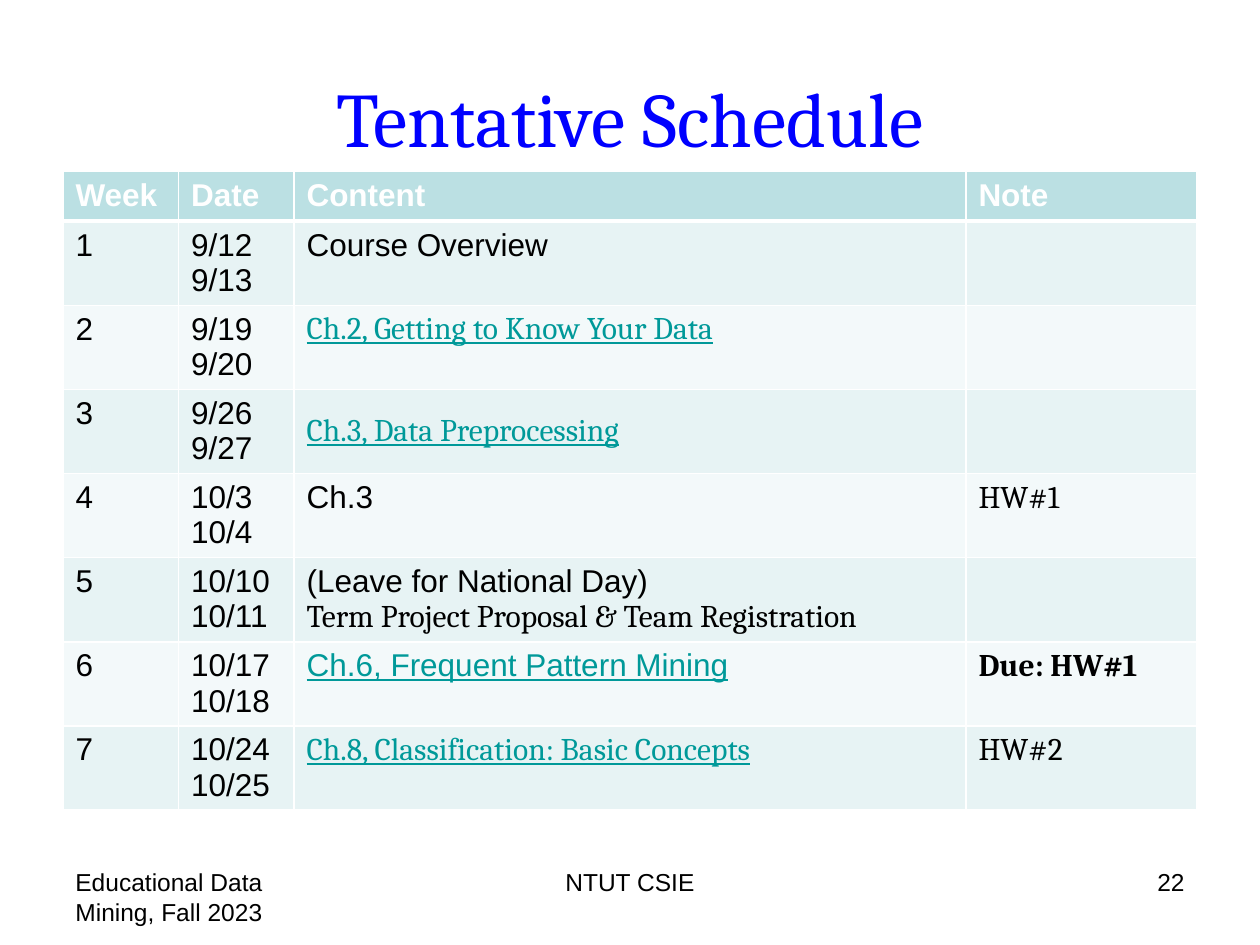
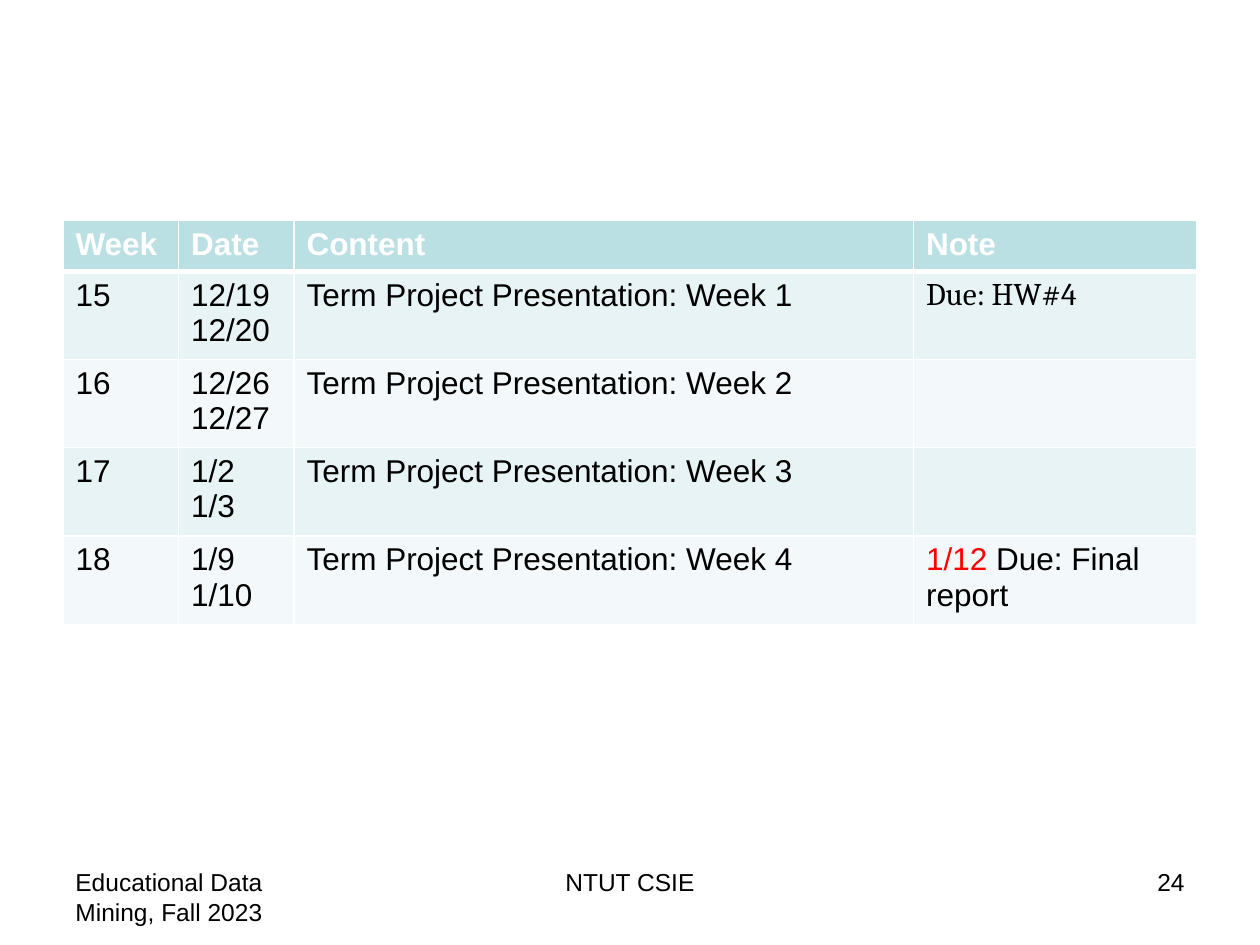
from lxml.etree import SubElement as Sub, Element
from pptx import Presentation
from pptx.dml.color import RGBColor as RGB
from pptx.enum.text import MSO_ANCHOR as Anchor, PP_ALIGN as Align
from pptx.oxml.ns import qn
from pptx.util import Pt

BLUE = RGB(0x00, 0x00, 0xFF)
TEAL = RGB(0x00, 0x99, 0x99)
RED = RGB(0xFF, 0x00, 0x00)
BLACK = RGB(0x00, 0x00, 0x00)
WHITE = RGB(0xFF, 0xFF, 0xFF)
HEAD = RGB(0xBB, 0xE0, 0xE3)
BANDS = [RGB(0xF3, 0xF9, 0xFA), RGB(0xE7, 0xF3, 0xF4)]
SANS, SERIF = "Arial", "Cambria"

# Cell texts that leave the plain style
LINKS = {"Ch.2, Getting to Know Your Data", "Ch.3, Data Preprocessing",
         "Ch.6, Frequent Pattern Mining",
         "Ch.8, Classification: Basic Concepts"}
SERIFS = {"HW#1", "HW#2", "Due: HW#1", "Due: HW#4",
          "Term Project Proposal & Team Registration"}
SERIFS |= LINKS - {"Ch.6, Frequent Pattern Mining"}
BOLDS = {"Due: HW#1"}

TITLES = ["Week", "Date", "Content", "Note"]
FALL = [
    ["1", "9/12\n9/13", "Course Overview", ""],
    ["2", "9/19\n9/20", "Ch.2, Getting to Know Your Data", ""],
    ["3", "9/26\n9/27", "Ch.3, Data Preprocessing", ""],
    ["4", "10/3\n10/4", "Ch.3", "HW#1"],
    ["5", "10/10\n10/11", "(Leave for National Day)\n"
     "Term Project Proposal & Team Registration", ""],
    ["6", "10/17\n10/18", "Ch.6, Frequent Pattern Mining", "Due: HW#1"],
    ["7", "10/24\n10/25", "Ch.8, Classification: Basic Concepts", "HW#2"],
]
FINAL = [
    ["15", "12/19\n12/20", "Term Project Presentation: Week 1", "Due: HW#4"],
    ["16", "12/26\n12/27", "Term Project Presentation: Week 2", ""],
    ["17", "1/2\n1/3", "Term Project Presentation: Week 3", ""],
    ["18", "1/9\n1/10", "Term Project Presentation: Week 4",
     "1/12 Due: Final report"],
]

# Layout number, page, table top, column widths, row heights, rows
PAGES = [
    (5, "22", 98, [66, 66, 384, 132], (28.4, 48.1), FALL),
    (6, "24", 126, [66, 66, 354, 162], (29, 50.3), FINAL),
]


def style(run, size, color=BLACK, face=SANS, bold=False):
    font = run.font
    font.size, font.name, font.bold = Pt(size), face, bold
    font.color.rgb = color


def edge(cell, sides):
    """Draw white cell borders; sides maps a tag to a width in points."""
    props = cell._tc.get_or_add_tcPr()
    for spot, (tag, width) in enumerate(sides.items()):
        line = Element(qn("a:" + tag), w=str(Pt(width)))
        fill = Sub(line, qn("a:solidFill"))
        Sub(fill, qn("a:srgbClr"), val=str(WHITE))
        props.insert(spot, line)


deck = Presentation()
deck.slide_width, deck.slide_height = Pt(720), Pt(540)

for layout, page, top, widths, (first, rest), rows in PAGES:
    slide = deck.slides.add_slide(deck.slide_layouts[layout])

    # Title
    title = slide.shapes.title
    if title is not None:
        title.left, title.top = Pt(36), Pt(21.6)
        title.width, title.height = Pt(648), Pt(90)
        frame = title.text_frame
        frame.text = "Tentative Schedule"
        frame.vertical_anchor = Anchor.MIDDLE
        frame.paragraphs[0].alignment = Align.CENTER
        style(frame.paragraphs[0].runs[0], 44, BLUE, SERIF)

    # Schedule table
    data = [TITLES] + rows
    high = first + rest * len(rows)
    grid = slide.shapes.add_table(len(data), len(TITLES), Pt(36), Pt(top),
                                  Pt(648), Pt(high)).table
    grid.horz_banding = False
    for col, width in zip(grid.columns, widths):
        col.width = Pt(width)
    for r, texts in enumerate(data):
        grid.rows[r].height = Pt(rest if r else first)
        for c, text in enumerate(texts):
            cell = grid.cell(r, c)
            cell.fill.solid()
            cell.fill.fore_color.rgb = BANDS[r % 2] if r else HEAD
            edge(cell, {"lnL": 1, "lnR": 1, "lnT": 3 if r == 1 else 1,
                        "lnB": 1 if r else 3})
            if text == "Ch.3, Data Preprocessing":
                cell.vertical_anchor = Anchor.MIDDLE
            cell.text_frame.text = text
            for para in cell.text_frame.paragraphs:
                for run in para.runs:
                    link = run.text in LINKS
                    color = TEAL if link else BLACK if r else WHITE
                    face = SERIF if run.text in SERIFS else SANS
                    style(run, 18, color, face, r == 0 or run.text in BOLDS)
                    run.font.underline = link

    # Footers
    for left, width, text, align in [
            (36, 168, "Educational Data Mining, Fall 2023", Align.LEFT),
            (246, 228, "NTUT CSIE", Align.CENTER),
            (516, 168, page, Align.RIGHT)]:
        box = slide.shapes.add_textbox(Pt(left), Pt(492), Pt(width), Pt(37.5))
        frame = box.text_frame
        frame.word_wrap = True
        frame.text = text
        frame.paragraphs[0].alignment = align
        style(frame.paragraphs[0].runs[0], 14)

# Red due date in the last note
para = grid.cell(4, 3).text_frame.paragraphs[0]
date = para.runs[0]
date.text = "1/12 "
date.font.color.rgb = RED
due = para.add_run()
due.text = "Due: Final report"
style(due, 18)

deck.save("out.pptx")
